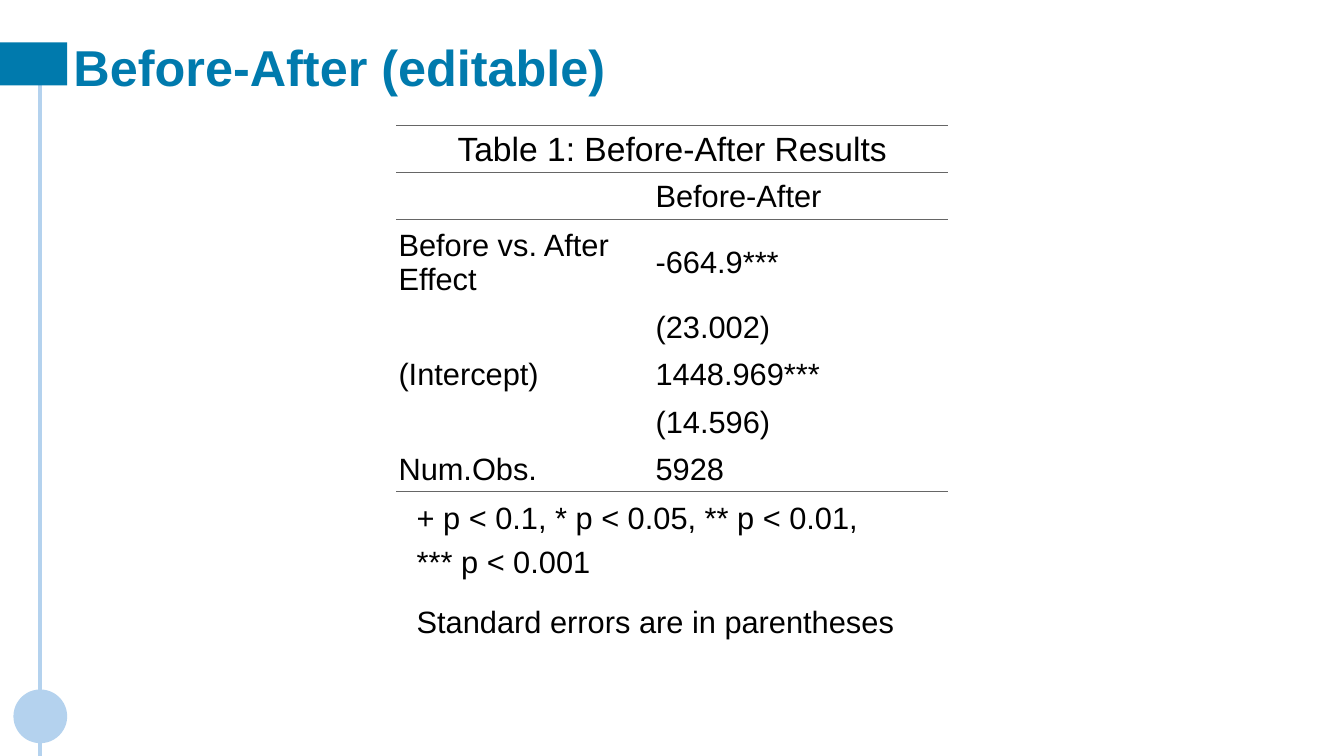
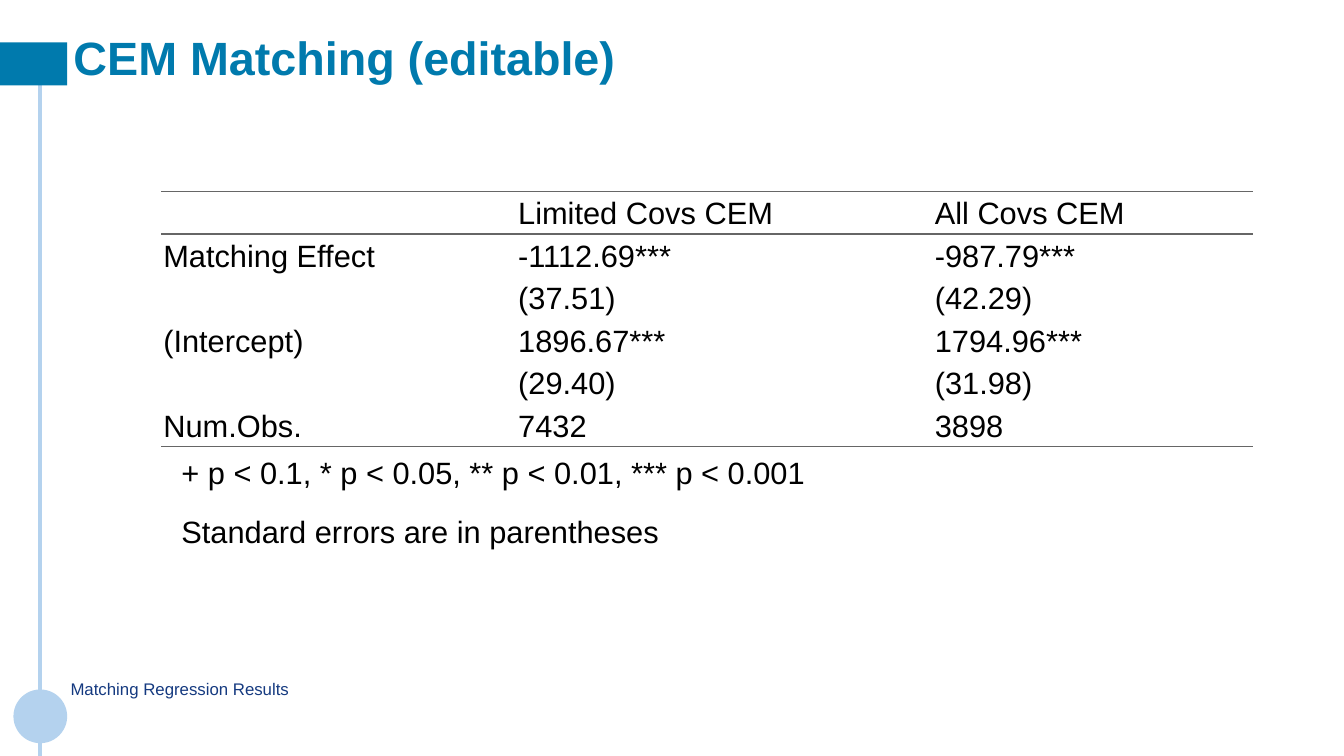
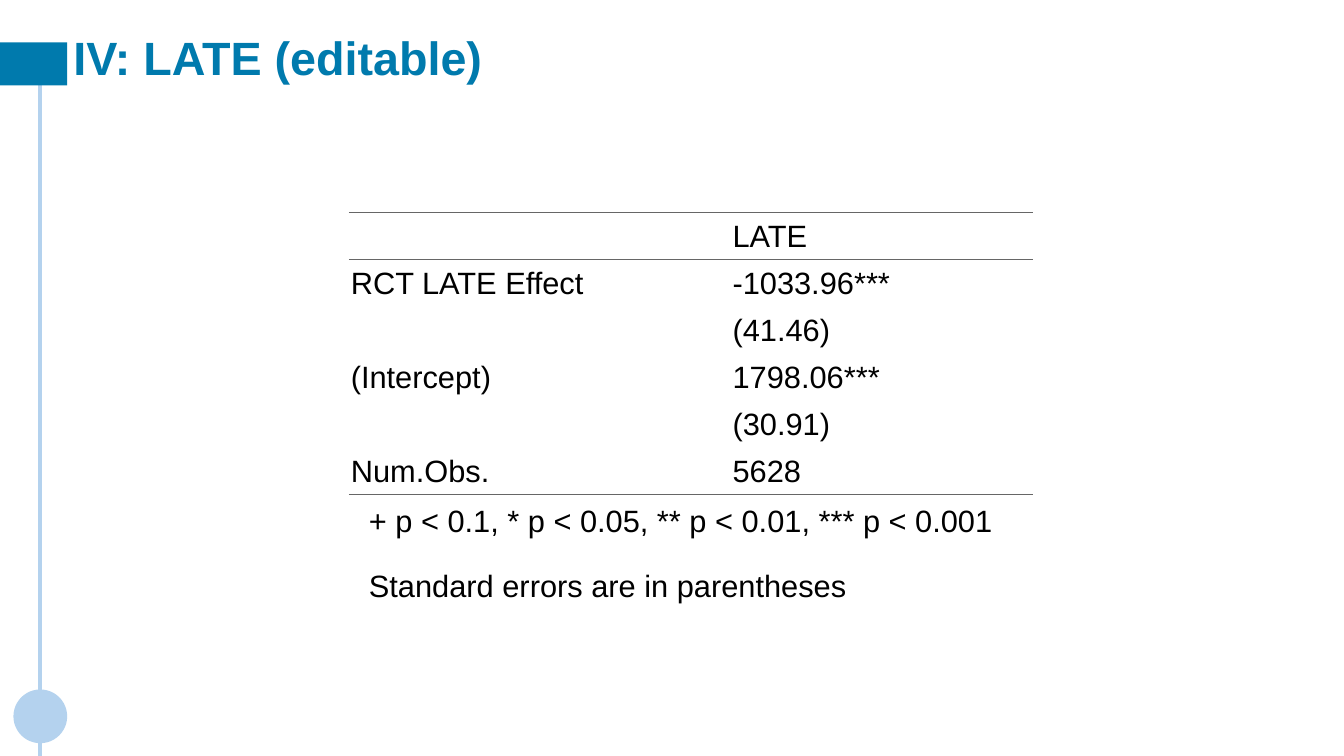
from lxml.etree import SubElement as Sub
from pptx import Presentation as Deck
from pptx.dml.color import RGBColor as Rgb
from pptx.enum.shapes import MSO_CONNECTOR as Link, MSO_SHAPE as Form
from pptx.enum.text import MSO_ANCHOR as Anchor, PP_ALIGN as Align
from pptx.oxml.ns import qn
from pptx.util import Pt

TEAL = Rgb(0x00, 0x7A, 0xAD)
SKY = Rgb(0xB4, 0xD2, 0xEE)
NAVY = Rgb(0x15, 0x3A, 0x80)
GRAY = Rgb(0x66, 0x66, 0x66)
BLACK = Rgb(0, 0, 0)

FACE = "Arial"
STARS = "+ p < 0.1, * p < 0.05, ** p < 0.01, *** p < 0.001"
ERRORS = "Standard errors are in parentheses"


class Maker:
    """Holds the deck, its style and the current slide."""

    def __init__(self):
        self.deck = Deck()
        self.deck.slide_width, self.deck.slide_height = Pt(1440), Pt(810)
        self.slide = None

    def page(self, title, size=50, pitch=0.9):
        self.slide = self.deck.slides.add_slide(self.deck.slide_layouts[6])
        # Side rail with its dot and title tab
        self.line(43.2, 69, 43.2, 810)
        self.shape(Form.OVAL, 14.4, 738.7, 57.6, 57.6, SKY)
        self.shape(Form.RECTANGLE, 0, 45.4, 72, 46.1, TEAL)
        # Title
        para = self.text(title, 72.7, 30.2, 1333.4, 61.9, size, TEAL, (6, 8))
        para.font.bold = True
        para.line_spacing = pitch

    def line(self, x1, y1, x2, y2):
        rail = self.slide.shapes.add_connector(
            Link.STRAIGHT, Pt(x1), Pt(y1), Pt(x2), Pt(y2))
        rail.line.color.rgb = SKY
        rail.line.width = Pt(4.5)
        Sub(rail.element.spPr, qn("a:effectLst"))

    def shape(self, form, x, y, w, h, color):
        item = self.slide.shapes.add_shape(form, Pt(x), Pt(y), Pt(w), Pt(h))
        item.shadow.inherit = False
        item.fill.solid()
        item.fill.fore_color.rgb = color
        item.line.fill.background()

    def text(self, words, x, y, w, h, size, color, inset):
        box = self.slide.shapes.add_textbox(Pt(x), Pt(y), Pt(w), Pt(h))
        frame = box.text_frame
        frame.word_wrap = True
        frame.margin_left = frame.margin_right = Pt(inset[0])
        frame.margin_top = frame.margin_bottom = Pt(inset[1])
        frame.text = words
        para = frame.paragraphs[0]
        self.style(para, size, color)
        return para

    def style(self, para, size, color):
        para.font.name = FACE
        para.font.size = Pt(size)
        para.font.color.rgb = color

    def table(self, x, y, widths, heights, rows, heads=1):
        """Rows of one item span the table; the last two rows are notes."""
        grid = self.slide.shapes.add_table(
            len(rows), len(widths), Pt(x), Pt(y),
            Pt(sum(widths)), Pt(sum(heights))).table
        grid.first_row = grid.horz_banding = False
        for col, width in zip(grid.columns, widths):
            col.width = Pt(width)
        for row, height in zip(grid.rows, heights):
            row.height = Pt(height)
        notes = len(rows) - 2
        rules = {*range(heads + 1), notes}
        for i, row in enumerate(rows):
            if len(row) == 1:
                grid.cell(i, 0).merge(grid.cell(i, len(widths) - 1))
            for j in range(len(widths)):
                cell = grid.cell(i, j)
                self.edge(cell, i in rules, i + 1 in rules)
                cell.fill.background()
                if j < len(row) and row[j]:
                    self.fill(cell, row[j], i >= notes, len(row) == 1)

    def edge(self, cell, top, bottom):
        props = cell._tc.get_or_add_tcPr()
        for side, ruled in zip("LRTB", (False, False, top, bottom)):
            line = Sub(props, qn(f"a:ln{side}"), w=str(Pt(1.5)))
            if ruled:
                paint = Sub(line, qn("a:solidFill"))
                Sub(paint, qn("a:srgbClr"), val=str(GRAY))
            else:
                Sub(line, qn("a:noFill"))

    def fill(self, cell, words, note, wide):
        cell.text = words
        title = wide and not note
        side, top, base = (21.6, 10.8, 10.8) if note else (2.2, 2.2, 0)
        cell.margin_left = cell.margin_right = Pt(side)
        cell.margin_top, cell.margin_bottom = Pt(top), Pt(base)
        cell.vertical_anchor = Anchor.TOP if note else Anchor.MIDDLE
        for k, para in enumerate(cell.text_frame.paragraphs):
            para.space_before = Pt(5 if k else 0)
            para.space_after = Pt(5)
            para.alignment = Align.CENTER if title else Align.LEFT
            self.style(para, 36 if title else 33, BLACK)


def main():
    make = Maker()

    # Before-After
    make.page("Before-After (editable)", 54, 1.0)
    make.table(
        424.8, 134.6, [275.4, 315.6],
        [50.4] * 2 + [90] + [50.4] * 4 + [109.4] * 2,
        [["Table 1: Before-After Results"],
         ["", "Before-After"],
         ["Before vs. After Effect", "-664.9***"],
         ["", "(23.002)"],
         ["(Intercept)", "1448.969***"],
         ["", "(14.596)"],
         ["Num.Obs.", "5928"],
         [STARS.replace(", ***", ",\n***")],
         [ERRORS]], heads=2)

    # CEM matching
    make.page("CEM Matching (editable)")
    make.table(
        172.8, 205.2, [380.2, 446.4, 343.4], [45.6] * 6 + [62.6] * 2,
        [["", "Limited Covs CEM", "All Covs CEM"],
         ["Matching Effect", "-1112.69***", "-987.79***"],
         ["", "(37.51)", "(42.29)"],
         ["(Intercept)", "1896.67***", "1794.96***"],
         ["", "(29.40)", "(31.98)"],
         ["Num.Obs.", "7432", "3898"],
         [STARS],
         [ERRORS]])
    make.text("Matching Regression Results",
              72.7, 723.6, 1329, 41, 18, NAVY, (2.9, 3.6))

    # Instrumental variables
    make.page("IV: LATE (editable)")
    make.table(
        373.7, 227.5, [409, 324], [50.4] * 6 + [69.8] * 2,
        [["", "LATE"],
         ["RCT LATE Effect", "-1033.96***"],
         ["", "(41.46)"],
         ["(Intercept)", "1798.06***"],
         ["", "(30.91)"],
         ["Num.Obs.", "5628"],
         [STARS],
         [ERRORS]])

    make.deck.save("out.pptx")


if __name__ == "__main__":
    main()
